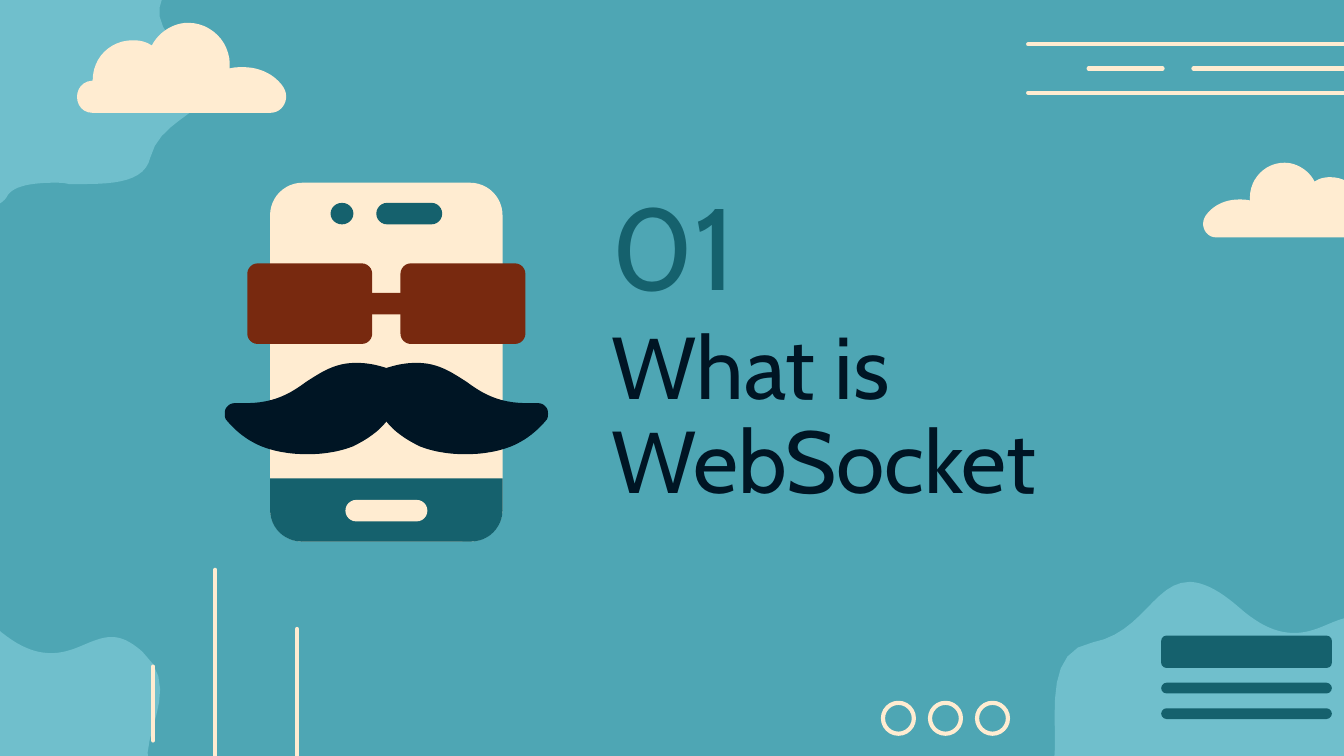
from lxml.etree import SubElement as Sub
from pptx import Presentation
from pptx.dml.color import RGBColor as Rgb
from pptx.enum.shapes import MSO_CONNECTOR as Link, MSO_SHAPE as Kind
from pptx.enum.text import MSO_ANCHOR as Anchor, MSO_AUTO_SIZE as Fit, PP_ALIGN as Align
from pptx.oxml.ns import qn
from pptx.util import Inches, Pt

theme = {
    "sea": Rgb.from_string("4EA6B4"),
    "foam": Rgb.from_string("70BFCC"),
    "cream": Rgb.from_string("FFECD1"),
    "teal": Rgb.from_string("15616D"),
    "rust": Rgb.from_string("78290F"),
    "ink": Rgb.from_string("001524"),
    "font": "Cabin",
    "head": Pt(47),
    "count": Pt(62),
    "line": Pt(2.25),
}

deck = Presentation()
deck.slide_width = Inches(10)
deck.slide_height = deck.slide_width * 9 // 16
cell = deck.slide_width // 100
foot = deck.slide_height / cell
slide = deck.slides.add_slide(deck.slide_layouts[0])
shapes = slide.shapes
slide.background.fill.solid()
slide.background.fill.fore_color.rgb = theme["sea"]


def trace(path, tint, x=0, y=0, wide=1, tall=1):
    dots = [path[0]]
    for step in path[1:]:
        if len(step) == 2:
            dots.append(step)
            continue
        ends = list(zip((*dots[-1], *step)[::2], (*dots[-1], *step)[1::2]))
        for i in range(1, 13):
            t = i / 12
            mix = ((1 - t) ** 3, 3 * t * (1 - t) ** 2, 3 * t * t * (1 - t), t ** 3)
            dots.append(tuple(sum(m * e[k] for m, e in zip(mix, ends)) for k in (0, 1)))
    spots = [((x + wide * a) * cell, (y + tall * b) * cell) for a, b in dots]
    pen = shapes.build_freeform(*spots[0], scale=1)
    pen.add_line_segments(spots[1:], close=True)
    form = pen.convert_to_shape()
    form.shadow.inherit = False
    form.fill.solid()
    form.fill.fore_color.rgb = theme[tint]
    form.line.fill.background()


def block(kind, spot, tint, bends=()):
    form = shapes.add_shape(kind, *(round(n * cell) for n in spot))
    form.shadow.inherit = False
    for i, bend in enumerate(bends):
        form.adjustments[i] = bend
    if tint:
        form.fill.solid()
        form.fill.fore_color.rgb = theme[tint]
        form.line.fill.background()
    else:
        form.fill.background()
        form.line.color.rgb = theme["cream"]
        form.line.width = theme["line"]


wave = [
    (88.5, 43.3), (85.9, 43.3, 85, 47.1, 81.3, 47.8), (76.2, 48.7, 80.2, 57.6, 77.3, 59),
    (76.2, 59.5, 75.9, 60.4, 75.9, 61.4), (75.8, 63.2, 76.4, 64.8, 78.2, 64.8),
    (105.2, 64.8), (106.3, 64.8, 105.8, 64.3, 106.4, 63.4),
    (107.5, 61.7, 108.6, 58.9, 105.4, 57.4), (100.5, 55.1, 107, 50.5, 103.1, 47),
    (102.2, 46.2, 101.5, 45.9, 100.8, 45.9), (100.1, 45.9, 99.4, 46.2, 98.7, 46.5),
    (98, 46.8, 97.2, 47.1, 96.3, 47.1), (95.2, 47.1, 93.9, 46.7, 92.2, 45.2),
    (90.6, 43.8, 89.4, 43.3, 88.5, 43.3),
]
trace(wave, "foam")
trace(wave, "foam", x=-92.5, y=1.5)

bay = [
    (-4.9, -4.9), (9.3, -4.9), (10.2, -4.9, 11.2, -4.7, 12, -3.9),
    (15.4, -1.2, 8.9, -0.4, 13.7, 3.9), (18.5, 8.2, 12.1, 8, 11.2, 11.7),
    (10.8, 13.5, 8.6, 13.7, 6.2, 13.7), (5.9, 13.7, 5.5, 13.7, 5.1, 13.7),
    (4.8, 13.6, 4.4, 13.6, 4.1, 13.6), (2.5, 13.6, 1.1, 13.8, 0.6, 14.5),
    (0.2, 15.3, -0.7, 15.5, -1.7, 15.5), (-4.9, 15.5),
]
trace(bay, "foam")

cloud = [
    (14, 1.7), (12.9, 1.7, 11.8, 2.4, 11.3, 3.4), (10.9, 3.1, 10.4, 3, 9.9, 3),
    (8.2, 3, 6.9, 4.3, 6.9, 6), (5.3, 6.1, 5.4, 8.4, 6.9, 8.4), (20.1, 8.4),
    (21.1, 8.4, 21.6, 7.3, 21.1, 6.5), (20.5, 5.6, 19.4, 5, 18.1, 5),
    (17.8, 5, 17.4, 5, 17.1, 5.1), (17.1, 5, 17.1, 4.9, 17.1, 4.8),
    (17.1, 3.1, 15.7, 1.7, 14, 1.7),
]
trace(cloud, "cream")
trace(cloud, "cream", x=107.2, y=10.7, wide=-0.83, tall=0.83)

for ends in (
    (76.5, 6.9, 100, 6.9), (88.8, 5.1, 100, 5.1), (81, 5.1, 86.5, 5.1), (76.5, 3.3, 100, 3.3),
    (16, foot, 16, 42.4), (22.1, foot, 22.1, 46.8), (11.4, 55.1, 11.4, 49.6),
):
    rule = shapes.add_connector(Link.STRAIGHT, *(round(n * cell) for n in ends))
    rule.line.color.rgb = theme["cream"]
    rule.line.width = theme["line"]
    rule.line._get_or_add_ln().set("cap", "rnd")
    Sub(rule._element.spPr, qn("a:effectLst"))

for i in range(3):
    block(Kind.OVAL, (65.7 + 3.5 * i, 52.3, 2.3, 2.3), None)

for top, tall, bend in ((47.3, 2.4, 0.16), (50.8, 0.8, 0.5), (52.7, 0.8, 0.5)):
    block(Kind.ROUNDED_RECTANGLE, (86.4, top, 12.7, tall), "teal", [bend])

block(Kind.ROUNDED_RECTANGLE, (20.1, 13.6, 17.3, 26.7), "cream", [0.14])
block(Kind.ROUND_2_SAME_RECTANGLE, (20.1, 35.6, 17.3, 4.7), "teal", [0, 0.5])
block(Kind.OVAL, (24.6, 15.1, 1.7, 1.6), "teal")
for spot, tint, bend in (
    ((28, 15.1, 4.9, 1.6), "teal", 0.5),
    ((25.7, 37.2, 6.1, 1.6), "cream", 0.5),
    ((26.1, 21.8, 5.3, 1.6), "rust", 0.5),
    ((18.4, 19.6, 9.3, 6), "rust", 0.13),
    ((29.8, 19.6, 9.3, 6), "rust", 0.13),
):
    block(Kind.ROUNDED_RECTANGLE, spot, tint, [bend])

beard = [
    (28.7, 27.4), (29.6, 27.1, 30.3, 27, 31, 27), (32.6, 27, 33.6, 27.7, 34.7, 28.4),
    (35.8, 29.2, 37, 30, 39.2, 30), (39.4, 30, 39.6, 30, 39.9, 30), (40, 30),
    (40.3, 30, 40.5, 30.1, 40.7, 30.4), (40.8, 30.6, 40.8, 31, 40.7, 31.2),
    (40.6, 31.3, 39.8, 32.4, 38.3, 33.1), (37.2, 33.6, 35.9, 33.8, 34.6, 33.8),
    (33.4, 33.8, 32.2, 33.6, 31.2, 33.2), (30.2, 32.7, 29.3, 32.1, 28.7, 31.3),
]
trace(beard, "ink")
trace(beard, "ink", x=57.5, wide=-1)

frame = {
    "auto_size": Fit.NONE, "word_wrap": True, "vertical_anchor": Anchor.MIDDLE,
    "margin_left": cell, "margin_right": cell, "margin_top": cell, "margin_bottom": cell,
}
for box, text, spot, size, tint, lead in (
    (shapes.title, "What is WebSocket", (44.5, 23.2, 39.7, 15.8), "head", "ink", 0.9),
    (slide.placeholders[1], "01", (44.5, 13.6, 13.3, 9.2), "count", "teal", 1.0),
):
    for key, val in zip(("left", "top", "width", "height"), spot):
        setattr(box, key, round(val * cell))
    body = box.text_frame
    body.text = text
    para = body.paragraphs[0]
    font = para.runs[0].font
    for item, style in (
        (body, frame),
        (para, {"alignment": Align.LEFT, "line_spacing": lead, "space_before": Pt(0)}),
        (font, {"name": theme["font"], "size": theme[size], "bold": False}),
        (font.color, {"rgb": theme[tint]}),
    ):
        for key, val in style.items():
            setattr(item, key, val)

deck.save("out.pptx")
